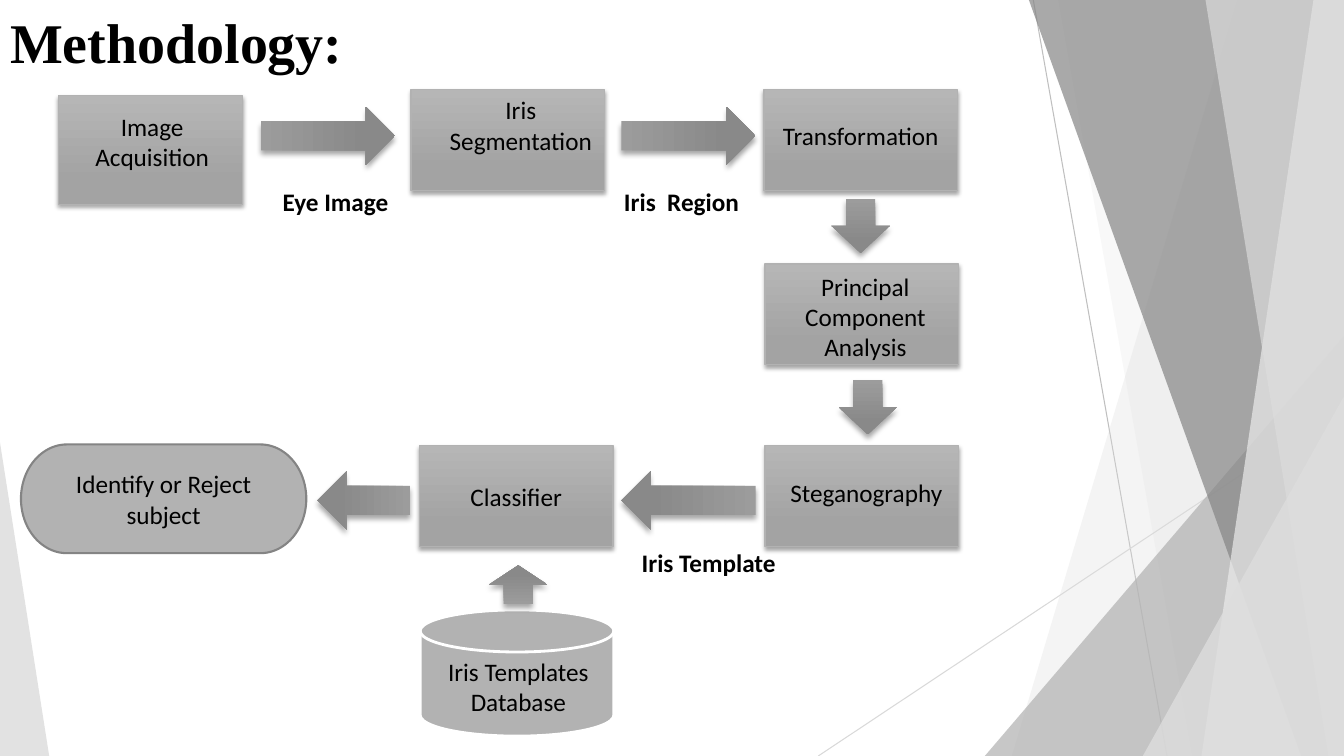
import dataclasses

import lxml.etree
import pptx
import pptx.dml.color
import pptx.enum.shapes
import pptx.enum.text
import pptx.oxml.ns
import pptx.util

Cm, Pt = pptx.util.Cm, pptx.util.Pt
SHAPE = pptx.enum.shapes.MSO_SHAPE
ALIGN = pptx.enum.text.PP_ALIGN
ANCHOR = pptx.enum.text.MSO_ANCHOR

STEP_SIZE = (4.88, 2.54)
ARROW_WIDTH = 1.47
RIGHT, LEFT, UP, DOWN = 270, 90, 180, 0  # rotation of a down arrow


@dataclasses.dataclass
class Box:
    """A rectangle in centimetres."""
    left: float
    top: float
    width: float
    height: float

    def inner(self, left, top, width, height):
        return Box(self.left + left, self.top + top, width, height)

    def lengths(self):
        return [Cm(n) for n in (self.left, self.top, self.width, self.height)]


def color(value):
    return pptx.dml.color.RGBColor.from_string(value)


def add_xml(parent, tag, **attributes):
    return lxml.etree.SubElement(parent, pptx.oxml.ns.qn(tag), **attributes)


# Formatting
def fill_solid(shape, value, opacity=100):
    shape.shadow.inherit = False
    shape.fill.solid()
    shape.fill.fore_color.rgb = color(value)
    if opacity < 100:
        tone = shape._element.spPr.find(".//" + pptx.oxml.ns.qn("a:srgbClr"))
        add_xml(tone, "a:alpha", val=str(opacity * 1000))


def fill_gradient(shape, start, end):
    shape.fill.gradient()
    shape.fill.gradient_angle = 270
    for stop, value, position in zip(shape.fill.gradient_stops, (start, end), (0, 0.78)):
        stop.color.rgb = color(value)
        stop.position = position


def set_line(shape, value=None, width=1):
    if value is None:
        shape.line.fill.background()
    else:
        shape.line.color.rgb = color(value)
        shape.line.width = Pt(width)


def drop_shadow(shape, blur, distance):
    shape.shadow.inherit = False
    effects = shape._element.spPr.find(pptx.oxml.ns.qn("a:effectLst"))
    shadow = add_xml(effects, "a:outerShdw", blurRad=str(Pt(blur)), dist=str(Pt(distance)),
                     dir="5400000", rotWithShape="0")
    tone = add_xml(shadow, "a:srgbClr", val="000000")
    add_xml(tone, "a:alpha", val="35000")


def write(shape, text, size=18, font="Calibri", bold=False, align=ALIGN.CENTER,
          anchor=ANCHOR.TOP):
    frame = shape.text_frame
    frame.word_wrap = True
    frame.auto_size = pptx.enum.text.MSO_AUTO_SIZE.NONE
    frame.vertical_anchor = anchor
    para = frame.paragraphs[0]
    para.alignment = align
    span = para.add_run()
    span.text = text
    span.font.size = Pt(size)
    span.font.name = font
    span.font.bold = bold
    span.font.color.rgb = color("000000")


# Flowchart parts
def add_step(page, box):
    shape = page.shapes.add_shape(SHAPE.RECTANGLE, *box.lengths())
    fill_gradient(shape, "B6B6B6", "A3A3A3")
    set_line(shape, "B2B2B2")
    drop_shadow(shape, 3, 2)
    return shape


def add_arrow(page, box, center_x, center_y, length, rotation):
    place = box.inner(center_x - ARROW_WIDTH / 2, center_y - length / 2, ARROW_WIDTH, length)
    shape = page.shapes.add_shape(SHAPE.DOWN_ARROW, *place.lengths())
    shape.rotation = rotation
    fill_gradient(shape, "9C9C9C", "898989")
    set_line(shape)
    drop_shadow(shape, 4, 3)


def add_label(page, box, text, **style):
    write(page.shapes.add_textbox(*box.lengths()), text, **style)


# Faceted backdrop
def add_backdrop(page, box):
    right, bottom = box.left + box.width, box.top + box.height

    for start_x, start_y, end_x, end_y, tone in (
            (26.04, 0, 29.41, 19.05, "BFBFBF"), (33.87, 10.24, 20.62, 19.05, "D9D9D9")):
        line = page.shapes.add_connector(
            pptx.enum.shapes.MSO_CONNECTOR.STRAIGHT,
            Cm(box.left + start_x), Cm(box.top + start_y),
            Cm(box.left + end_x), Cm(box.top + end_y))
        set_line(line, tone, 0.75)
        add_xml(line._element.spPr, "a:effectLst")

    def add_facet(top_x, bottom_x, tone, opacity):
        builder = page.shapes.build_freeform(Cm(box.left + top_x), Cm(box.top))
        builder.add_line_segments([
            (Cm(right), Cm(box.top)), (Cm(right), Cm(bottom)),
            (Cm(box.left + bottom_x), Cm(bottom))], close=True)
        facet = builder.convert_to_shape()
        fill_solid(facet, tone, opacity)
        set_line(facet)

    def add_corner(left, top, width, apex, tone, opacity):
        place = box.inner(left, top, width, box.height - top)
        corner = page.shapes.add_shape(SHAPE.ISOSCELES_TRIANGLE, *place.lengths())
        corner.adjustments[0] = apex
        fill_solid(corner, tone, opacity)
        set_line(corner)

    add_facet(31.19, 25.5, "DDDDDD", 30)
    add_facet(26.67, 30.05, "DDDDDD", 20)
    add_corner(24.82, 8.46, 9.05, 1, "B2B2B2", 72)
    add_facet(25.93, 32.79, "858585", 70)
    add_facet(33.1, 30.28, "EBEBEB", 70)
    add_facet(30.38, 33.48, "DDDDDD", 65)
    add_corner(28.8, 9.98, 5.07, 1, "DDDDDD", 80)
    add_corner(0, 11.15, 1.24, 0, "DDDDDD", 85)


def add_title(page, box):
    title = page.shapes.title
    title.left, title.top, title.width, title.height = box.lengths()
    write(title, "Methodology:", 40, "Times New Roman", True, ALIGN.LEFT, ANCHOR.BOTTOM)


def add_flowchart(page, box):
    # Steps
    add_step(page, box.inner(1.47, 2.41, 4.65, 2.74))
    for left, top in ((10.36, 2.26), (19.25, 2.26), (19.28, 6.65), (19.28, 11.23)):
        add_step(page, box.inner(left, top, *STEP_SIZE))
    classifier = add_step(page, box.inner(10.57, 11.23, *STEP_SIZE))
    write(classifier, "Classifier", anchor=ANCHOR.MIDDLE)

    # Outcome and database
    outcome = page.shapes.add_shape(
        SHAPE.FLOWCHART_TERMINATOR, *box.inner(0.53, 11.2, 7.19, 2.74).lengths())
    fill_solid(outcome, "B2B2B2")
    set_line(outcome, "848484", 1.5)
    write(outcome, "Identify or Reject subject", anchor=ANCHOR.MIDDLE)
    database = page.shapes.add_shape(
        SHAPE.FLOWCHART_MAGNETIC_DISK, *box.inner(10.59, 15.37, 4.88, 3.18).lengths())
    fill_solid(database, "B2B2B2")
    set_line(database, "FFFFFF", 2)

    # Arrows
    for arrow in ((8.26, 3.42, 3.38, RIGHT), (17.35, 3.42, 3.38, RIGHT),
                  (21.69, 5.69, 1.37, DOWN), (21.87, 10.26, 1.37, DOWN),
                  (17.35, 12.61, 3.38, LEFT), (9.17, 12.61, 2.34, LEFT),
                  (13.06, 14.73, 0.97, UP)):
        add_arrow(page, box, *arrow)

    # Step names
    for text, *place in (
            ("Image Acquisition", 1.83, 2.67, 4.01, 1.8),
            ("Iris Segmentation", 10.8, 2.26, 4.65, 1.8),
            ("Principal Component Analysis", 19.69, 6.71, 4.24, 2.57),
            ("Steganography", 19.51, 11.91, 4.65, 1.02),
            ("Iris Templates Database", 10.31, 16.41, 5.51, 1.8)):
        add_label(page, box.inner(*place), text)
    add_label(page, box.inner(19.48, 2.9, 4.65, 1.02), "Transformation", align=ALIGN.LEFT)

    # Data passed between steps
    for text, *place in (
            ("Eye Image", 6.55, 4.57, 3.81, 1.07),
            ("Iris  Region", 15.37, 4.57, 3.61, 1.07),
            ("Iris Template", 15.74, 13.67, 4.24, 1.02)):
        add_label(page, box.inner(*place), text, bold=True)


def main():
    deck = pptx.Presentation()
    whole = Box(0, 0, 33.87, 19.05)
    deck.slide_width, deck.slide_height = Cm(whole.width), Cm(whole.height)
    page = deck.slides.add_slide(deck.slide_layouts[5])
    add_backdrop(page, whole)
    add_title(page, whole.inner(0, -0.18, 23.88, 2.18))
    add_flowchart(page, whole)
    deck.save("out.pptx")


if __name__ == "__main__":
    main()
